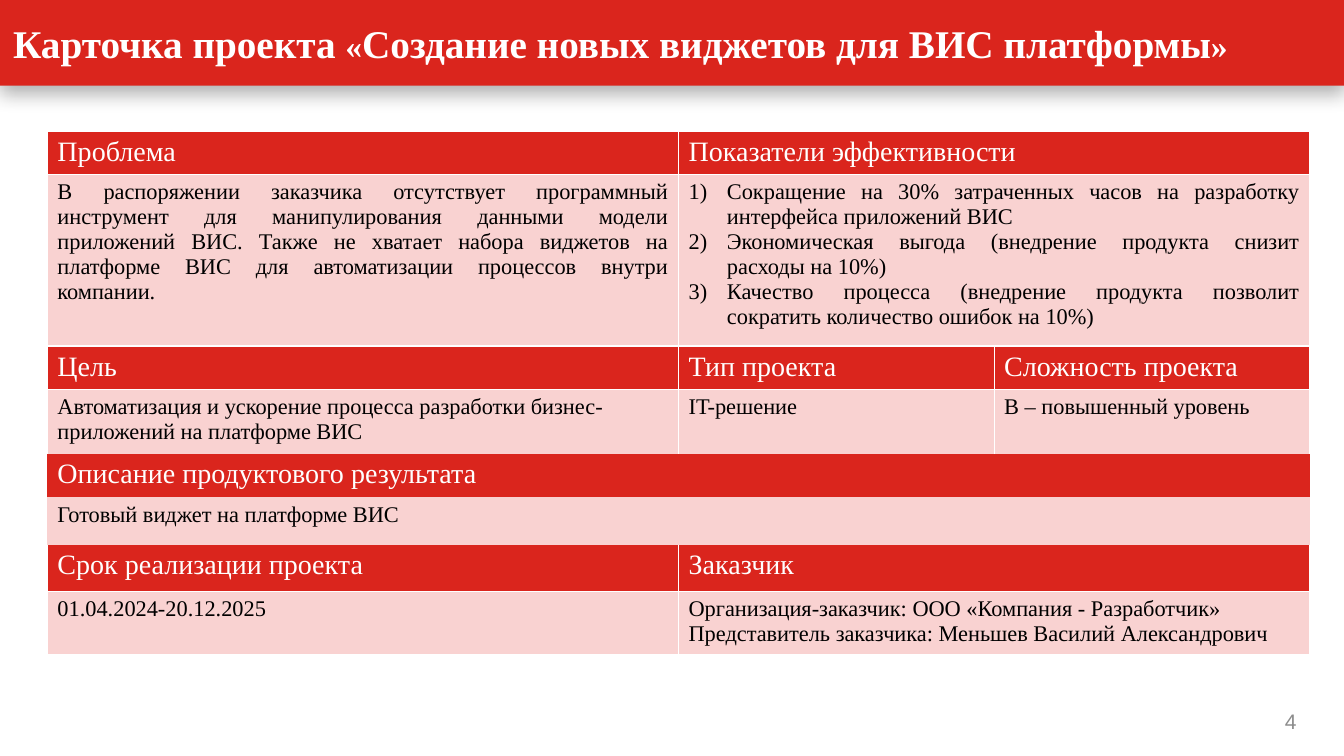
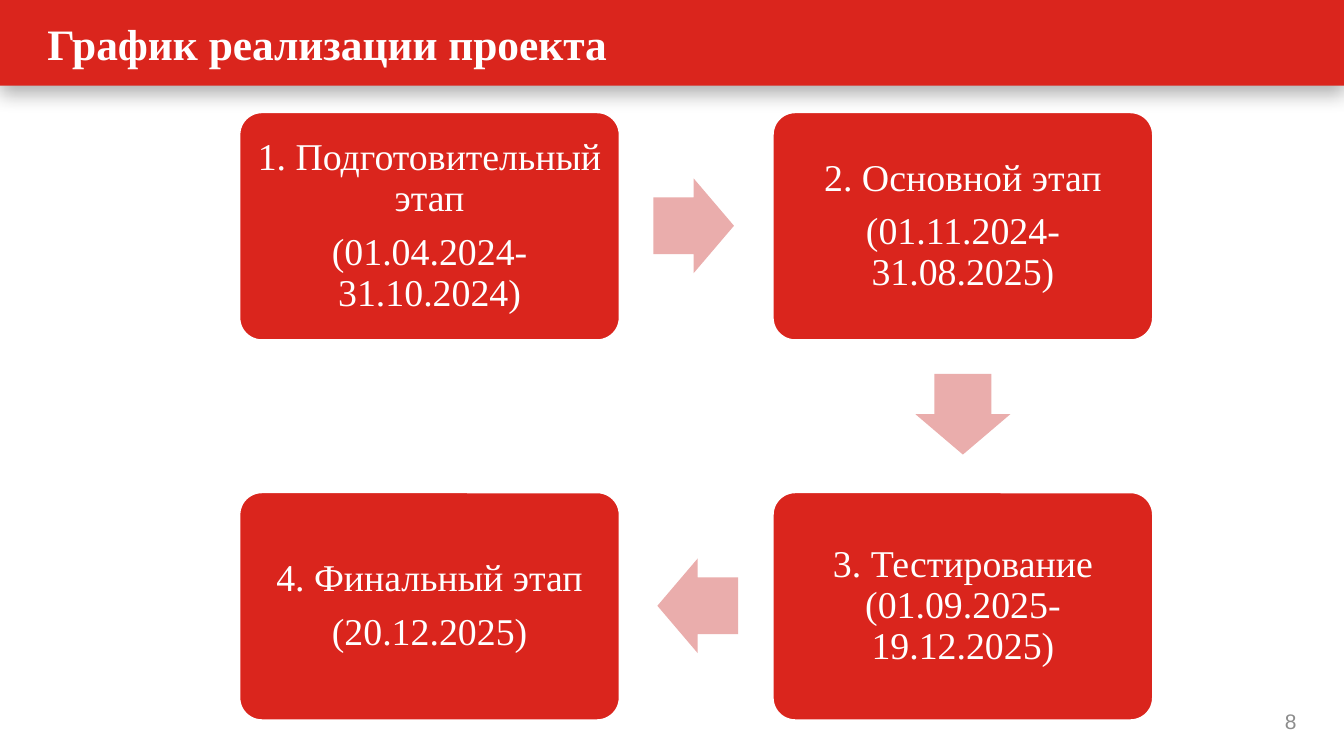
from dataclasses import dataclass
from itertools import pairwise
from math import atan2, degrees
from typing import Any, NamedTuple

from lxml.etree import SubElement
from pptx import Presentation
from pptx.dml.color import RGBColor as Color
from pptx.enum.shapes import MSO_SHAPE as Preset
from pptx.enum.text import MSO_ANCHOR as Anchor, PP_ALIGN as Align
from pptx.oxml.ns import qn
from pptx.util import Pt

EMU_PER_PX = 9144  # 100 px to the inch


def px(length: int) -> int:
    return length * EMU_PER_PX


class Box(NamedTuple):
    left: int
    top: int
    width: int
    height: int

    def emu(self) -> list[int]:
        return [px(length) for length in self]


class Run(NamedTuple):
    text: str
    size: int


@dataclass(frozen=True)
class TextStyle:
    size: int
    color: str
    font: str = "Times New Roman"
    bold: bool = False
    align: Align = Align.LEFT
    line_spacing: float = 1.0
    gap: int = 0  # points between paragraphs
    numbered: bool = False


@dataclass(frozen=True)
class Theme:
    red: str = "DA251D"
    pink: str = "F9D2D1"
    arrow: str = "EAADAC"
    white: str = "FFFFFF"
    card_title: TextStyle = TextStyle(28, "FFFFFF", bold=True)
    schedule_title: TextStyle = TextStyle(31, "FFFFFF", bold=True)
    quote_size: int = 24
    number: TextStyle = TextStyle(15, "8C8C8C", "Arial", align=Align.RIGHT)
    heading: TextStyle = TextStyle(20, "FFFFFF")
    body: TextStyle = TextStyle(16, "000000")
    justified: TextStyle = TextStyle(16, "000000", align=Align.JUSTIFY)
    numbered: TextStyle = TextStyle(16, "000000", align=Align.JUSTIFY, numbered=True)
    stage: TextStyle = TextStyle(27, "FFFFFF", align=Align.CENTER, line_spacing=0.9, gap=9)


THEME = Theme()
SLIDE_WIDTH, SLIDE_HEIGHT = 1333, 750
BAND = Box(0, 0, SLIDE_WIDTH, 85)
NUMBER_BOX = Box(1216, 695, 83, 40)
BOX_FORMAT = {
    "word_wrap": True, "vertical_anchor": Anchor.MIDDLE,
    "margin_left": px(13), "margin_right": px(13),
    "margin_top": px(6), "margin_bottom": px(6),
}
STAGE_FORMAT = BOX_FORMAT | {
    f"margin_{side}": px(10) for side in ("left", "right", "top", "bottom")
}

Line = str | tuple[Run, ...]


class Cell(NamedTuple):
    lines: tuple[str, ...]
    span: int = 1
    style: TextStyle = THEME.body


class Row(NamedTuple):
    height: int
    cells: tuple[Cell, ...]
    edges: str = "LRTB"


class Stage(NamedTuple):
    column: int
    row: int
    lines: tuple[str, ...]


def apply(target: Any, values: dict[str, Any]) -> None:
    for name, value in values.items():
        setattr(target, name, value)


def write_text(frame: Any, lines: tuple[Line, ...], style: TextStyle) -> None:
    for index, line in enumerate(lines):
        paragraph = frame.add_paragraph() if index else frame.paragraphs[0]
        apply(paragraph, {"alignment": style.align, "line_spacing": style.line_spacing})
        if index:
            paragraph.space_before = Pt(style.gap)
        if style.numbered:
            properties = paragraph._p.get_or_add_pPr()
            properties.set("marL", str(px(38)))
            properties.set("indent", str(-px(38)))
            SubElement(properties, qn("a:buFont"), typeface="+mj-lt")
            SubElement(properties, qn("a:buAutoNum"), type="arabicParenR")
        for text, size in (Run(line, style.size),) if isinstance(line, str) else line:
            run = paragraph.add_run()
            run.text = text
            apply(run.font, {"name": style.font, "size": Pt(size), "bold": style.bold})
            run.font.color.rgb = Color.from_string(style.color)


def add_text(slide: Any, box: Box, lines: tuple[Line, ...], style: TextStyle) -> None:
    frame = slide.shapes.add_textbox(*box.emu()).text_frame
    apply(frame, BOX_FORMAT)
    write_text(frame, lines, style)


def add_filled(slide: Any, preset: Preset, box: Box, fill: str) -> Any:
    shape = slide.shapes.add_shape(preset, *box.emu())
    shape.shadow.inherit = False
    shape.fill.solid()
    shape.fill.fore_color.rgb = Color.from_string(fill)
    shape.line.fill.background()
    return shape


def add_base(presentation: Any, title: Line, box: Box, style: TextStyle, number: str) -> Any:
    """Blank slide with the title band, title and page number."""
    slide = presentation.slides.add_slide(presentation.slide_layouts[6])
    band = add_filled(slide, Preset.RECTANGLE, BAND, THEME.red)
    effects = band._element.spPr.find(qn("a:effectLst"))
    shadow = SubElement(effects, qn("a:outerShdw"), blurRad=str(Pt(14)), dist=str(Pt(5)),
                        dir="5400000", algn="t", rotWithShape="0")
    black = SubElement(shadow, qn("a:srgbClr"), val="000000")
    SubElement(black, qn("a:alpha"), val="31000")
    add_text(slide, box, (title,), style)
    add_text(slide, NUMBER_BOX, (number,), THEME.number)
    return slide


def set_borders(cell: Any, edges: str) -> None:
    properties = cell._tc.get_or_add_tcPr()
    for edge in "LRTB":
        line = SubElement(properties, qn(f"a:ln{edge}"), w=str(Pt(1)))
        if edge in edges:
            fill = SubElement(line, qn("a:solidFill"))
            SubElement(fill, qn("a:srgbClr"), val=THEME.white)
        else:
            SubElement(line, qn("a:noFill"))


def add_card_table(slide: Any, left: int, top: int, widths: tuple[int, ...],
                   rows: tuple[Row, ...]) -> None:
    box = Box(left, top, sum(widths), sum(row.height for row in rows))
    table = slide.shapes.add_table(len(rows), len(widths), *box.emu()).table
    apply(table, {"first_row": False, "horz_banding": False})
    for column, width in zip(table.columns, widths):
        column.width = px(width)
    for row_index, row in enumerate(rows):
        table.rows[row_index].height = px(row.height)
        column_index = 0
        for content in row.cells:
            cell = table.cell(row_index, column_index)
            column_index += content.span
            if content.span > 1:
                cell.merge(table.cell(row_index, column_index - 1))
            set_borders(cell, row.edges)
            cell.fill.solid()
            fill = THEME.red if content.style is THEME.heading else THEME.pink
            cell.fill.fore_color.rgb = Color.from_string(fill)
            write_text(cell.text_frame, content.lines, content.style)


def heading(text: str, span: int = 1) -> Cell:
    return Cell((text,), span, THEME.heading)


CARD_ROWS = (
    Row(40, (heading("Проблема"), heading("Показатели эффективности", 2))),
    Row(158, (
        Cell(("В распоряжении заказчика отсутствует программный инструмент для "
              "манипулирования данными модели приложений ВИС. Также не хватает набора "
              "виджетов на платформе ВИС для автоматизации процессов внутри компании.",),
             style=THEME.justified),
        Cell(("Сокращение на 30% затраченных часов на разработку интерфейса приложений ВИС",
              "Экономическая выгода (внедрение продукта снизит расходы на 10%)",
              "Качество процесса (внедрение продукта позволит сократить количество "
              "ошибок на 10%)"), 2, THEME.numbered))),
    Row(40, (heading("Цель"), heading("Тип проекта"), heading("Сложность проекта"))),
    Row(60, (
        Cell(("Автоматизация и ускорение процесса разработки бизнес-приложений "
              "на платформе ВИС",)),
        Cell(("IT-решение",)),
        Cell(("В – повышенный уровень",))), "LRT"),
    Row(40, (heading("Описание продуктового результата", 3),), ""),
    Row(47, (Cell(("Готовый виджет на платформе ВИС",), 3),), ""),
    Row(46, (heading("Срок реализации проекта"), heading("Заказчик", 2)), "LRB"),
    Row(59, (
        Cell(("01.04.2024-20.12.2025",)),
        Cell(("Организация-заказчик: ООО «Компания - Разработчик»",
              "Представитель заказчика: Меньшев Василий Александрович"), 2))),
)

STAGES = (
    Stage(0, 0, ("1. Подготовительный этап", "(01.04.2024-31.10.2024)")),
    Stage(1, 0, ("2. Основной этап", "(01.11.2024-31.08.2025)")),
    Stage(1, 1, ("3. Тестирование (01.09.2025-19.12.2025)",)),
    Stage(0, 1, ("4. Финальный этап", "(20.12.2025)")),
)
FIRST_STAGE = Box(237, 111, 378, 227)
STAGE_PITCH_X, STAGE_PITCH_Y = 529, 377
ARROW_WIDTH, ARROW_HEIGHT, ARROW_SETBACK = 80, 94, 2


def stage_box(stage: Stage) -> Box:
    left, top, width, height = FIRST_STAGE
    return Box(left + stage.column * STAGE_PITCH_X, top + stage.row * STAGE_PITCH_Y,
               width, height)


def add_stage(slide: Any, stage: Stage) -> None:
    shape = add_filled(slide, Preset.ROUNDED_RECTANGLE, stage_box(stage), THEME.red)
    shape.adjustments[0] = 0.1
    shape.line.color.rgb = Color.from_string(THEME.white)
    shape.line.width = Pt(2)
    apply(shape.text_frame, STAGE_FORMAT)
    write_text(shape.text_frame, stage.lines, THEME.stage)


def add_stage_arrow(slide: Any, start: Stage, end: Stage) -> None:
    """Arrow halfway between two stages, set back slightly towards the first."""
    first, second = stage_box(start), stage_box(end)
    step_x, step_y = end.column - start.column, end.row - start.row
    center_x = (first.left + second.left + first.width) // 2 - step_x * ARROW_SETBACK
    center_y = (first.top + second.top + first.height) // 2 - step_y * ARROW_SETBACK
    box = Box(center_x - ARROW_WIDTH // 2, center_y - ARROW_HEIGHT // 2,
              ARROW_WIDTH, ARROW_HEIGHT)
    arrow = add_filled(slide, Preset.RIGHT_ARROW, box, THEME.arrow)
    arrow.adjustments[0], arrow.adjustments[1] = 0.6, 0.5
    arrow.rotation = degrees(atan2(step_y, step_x))


def main() -> None:
    presentation = Presentation()
    apply(presentation, {"slide_width": px(SLIDE_WIDTH), "slide_height": px(SLIDE_HEIGHT)})

    # Project card
    size, quote = THEME.card_title.size, THEME.quote_size
    title = (Run("Карточка проекта ", size), Run("«", quote),
             Run("Создание новых виджетов для ВИС платформы", size), Run("»", quote))
    slide = add_base(presentation, title, BAND, THEME.card_title, "4")
    add_card_table(slide, 47, 130, (626, 313, 313), CARD_ROWS)

    # Project schedule
    slide = add_base(presentation, "График реализации проекта", Box(34, 0, 1216, 85),
                     THEME.schedule_title, "8")
    for stage in STAGES:
        add_stage(slide, stage)
    for start, end in pairwise(STAGES):
        add_stage_arrow(slide, start, end)

    presentation.save("out.pptx")


if __name__ == "__main__":
    main()
